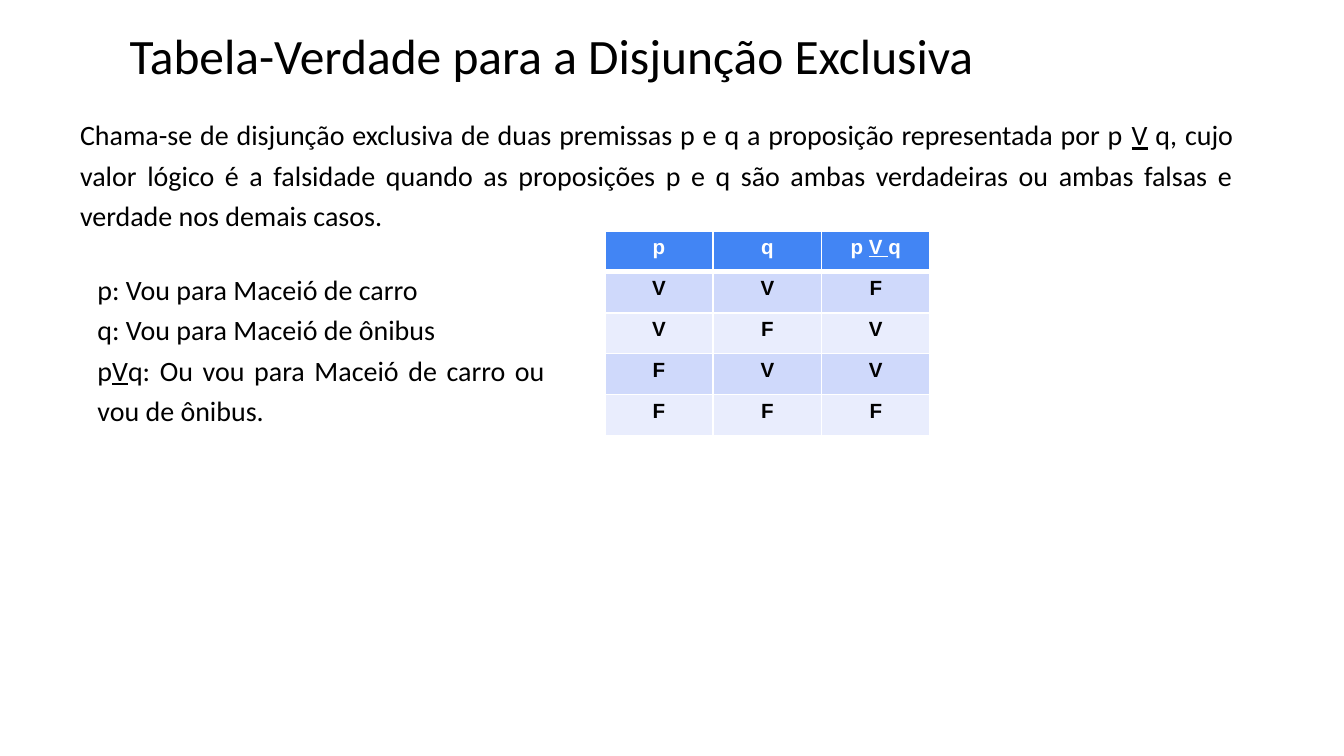
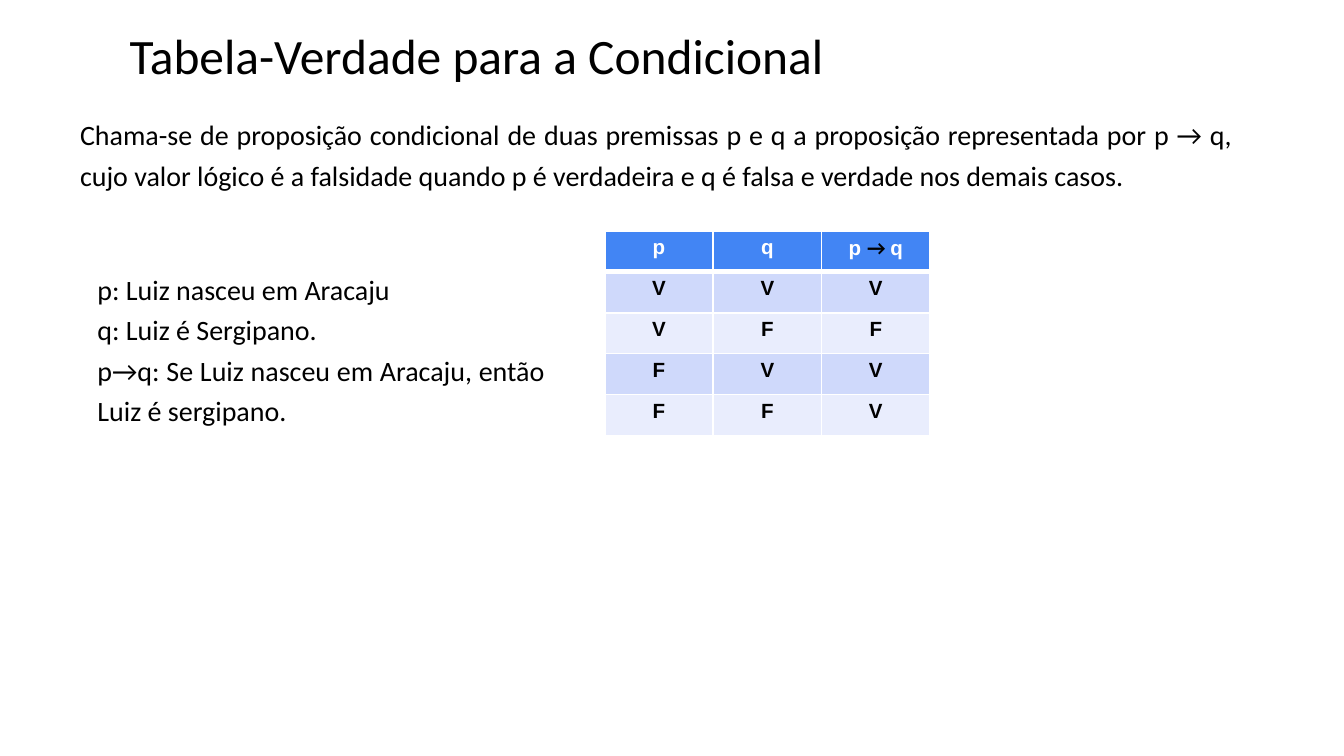
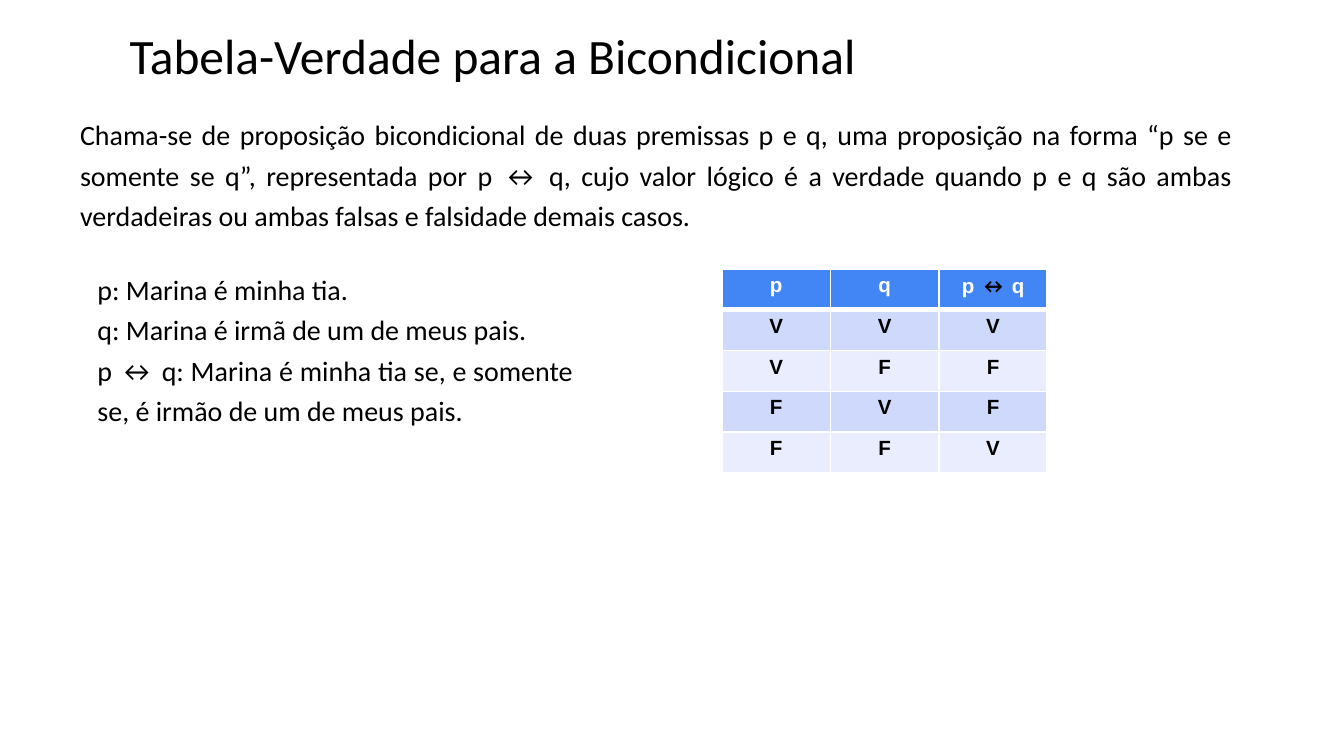
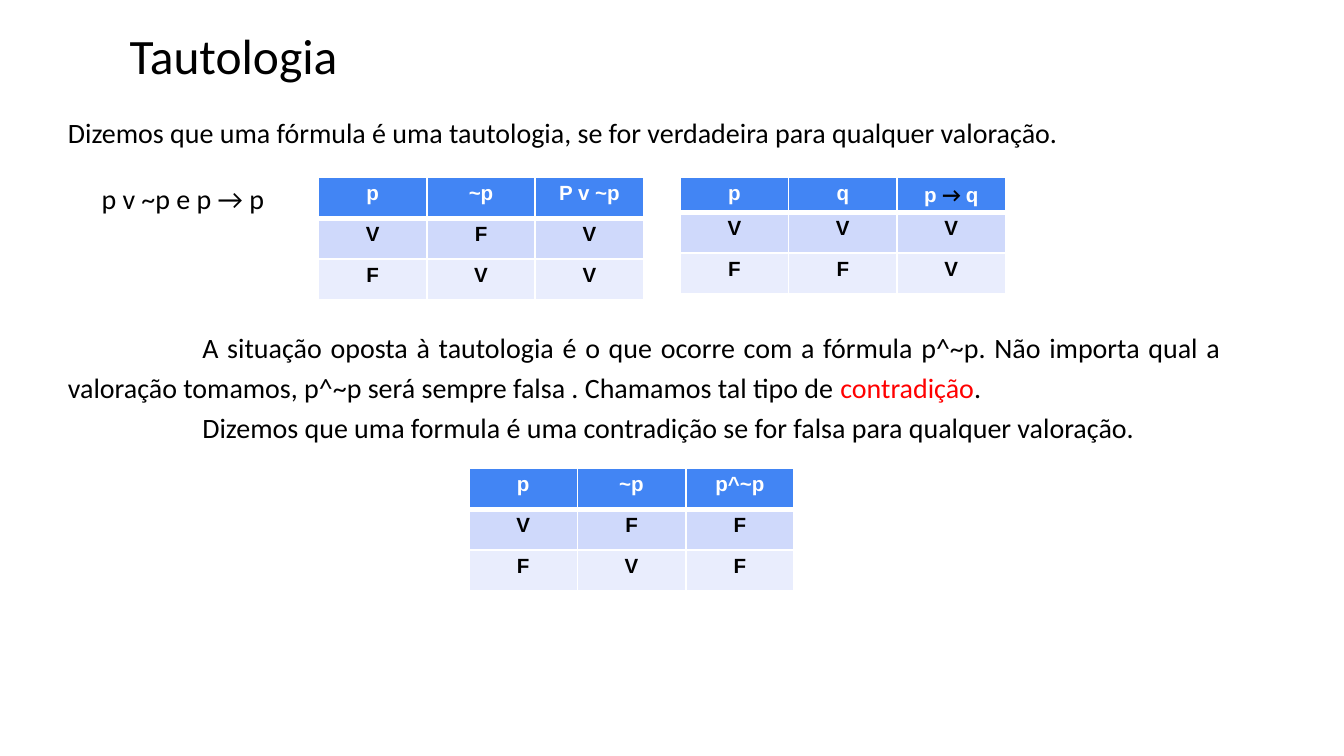
from dataclasses import dataclass

from lxml.etree import SubElement
from pptx import Presentation
from pptx.dml.color import RGBColor as Rgb
from pptx.enum.text import PP_ALIGN as Align
from pptx.oxml.ns import qn
from pptx.util import Pt


@dataclass(frozen=True)
class Theme:
    head: str = "Calibri"
    cell: str = "Arial"
    big: float = 26.5
    body: float = 15
    small: float = 11
    ink: Rgb = Rgb(0, 0, 0)
    white: Rgb = Rgb(255, 255, 255)
    red: Rgb = Rgb(255, 0, 0)
    blue: Rgb = Rgb.from_string("4285F4")
    bands: tuple = (Rgb.from_string("CFD9FB"), Rgb.from_string("E9EDFD"))
    pad: tuple = (5.4, 2.7)
    lead: float = 1.2
    thin: float = 1
    thick: float = 3


T = Theme()
WIDE = 628.5
COL, ROW = 58.1, 21.9
TITLE = (64, 10.8, 507.6, 38.2)
INTRO = (37.5, 56.9, WIDE, 196.6)


def inset(part):
    part.margin_left = part.margin_right = Pt(T.pad[0])
    part.margin_top = part.margin_bottom = Pt(T.pad[1])


def style(font, name, size, color):
    font.name, font.size = name, Pt(size)
    font.color.rgb = color


def fill(para, parts):
    """Add runs; a part is plain text or a (text, mark) pair."""
    for part in [parts] if isinstance(parts, str) else parts:
        text, mark = (part, "") if isinstance(part, str) else part
        run = para.add_run()
        run.text = text
        if mark == "under":
            run.font.underline = True
        elif mark == "red":
            run.font.color.rgb = T.red
        elif mark == "sign":
            run.font.name = T.head
            run.font.color.rgb = T.ink


def write(slide, box, lines, size=T.body, align=Align.JUSTIFY, lead=T.lead, indent=0):
    frame = slide.shapes.add_textbox(*map(Pt, box)).text_frame
    frame.word_wrap = True
    inset(frame)
    for num, line in enumerate(lines):
        para = frame.add_paragraph() if num else frame.paragraphs[0]
        para.alignment, para.line_spacing = align, lead
        if indent:
            props = para._p.get_or_add_pPr()
            props.set("marL", "0")
            props.set("indent", str(Pt(indent)))
        style(para.font, T.head, size, T.ink)
        fill(para, line)


def edge(cell, row):
    """Draw white cell borders, thick between header and body."""
    props = cell._tc.get_or_add_tcPr()
    heavy = {0: "lnB", 1: "lnT"}.get(row)
    for num, side in enumerate(("lnL", "lnR", "lnT", "lnB")):
        width = T.thick if side == heavy else T.thin
        line = SubElement(props, qn("a:" + side), w=str(Pt(width)))
        paint = SubElement(line, qn("a:solidFill"))
        SubElement(paint, qn("a:srgbClr"), val=str(T.white))
        props.remove(line)
        props.insert(num, line)


def truth(slide, left, top, heads, rows, first=ROW):
    """Place a truth table; each row is a string of V and F."""
    grid = [heads, *rows]
    high = first + ROW * len(rows)
    table = slide.shapes.add_table(
        len(grid), len(heads), Pt(left), Pt(top), Pt(COL * len(heads)), Pt(high)
    ).table
    table.horz_banding = False
    for col in table.columns:
        col.width = Pt(COL)
    for r, items in enumerate(grid):
        table.rows[r].height = Pt(ROW if r else first)
        for c, item in enumerate(items):
            cell = table.cell(r, c)
            inset(cell)
            cell.fill.solid()
            cell.fill.fore_color.rgb = T.bands[(r - 1) % 2] if r else T.blue
            edge(cell, r)
            para = cell.text_frame.paragraphs[0]
            para.alignment = Align.CENTER
            style(para.font, T.cell, T.small, T.ink if r else T.white)
            para.font.bold = True
            fill(para, item)


def start(deck, title):
    slide = deck.slides.add_slide(deck.slide_layouts[6])
    write(slide, TITLE, [title], T.big, Align.LEFT, 1)
    return slide


def rule(deck, title, intro, cases, last, rows, spot=(324, 123.8), width=250.5):
    """Build a slide that defines one connective, with cases and table."""
    slide = start(deck, title)
    write(slide, INTRO, [intro])
    truth(slide, *spot, ["p", "q", last], rows)
    write(slide, (46.8, 139.7, width, 56.2), cases)


def closing(deck):
    slide = start(deck, "Tautologia")
    left = 31
    write(slide, (left, 55.4, WIDE, 28.8), [
        "Dizemos que uma fórmula é uma tautologia, se for verdadeira para qualquer valoração.",
    ])
    write(slide, (49, 90.7, 108, 28.8), ["p v ~p e p → p"])
    write(slide, (left, 170.6, WIDE, 28.8), [
        ["A situação oposta à tautologia é o que ocorre com a fórmula p^~p. "
         "Não importa qual a valoração tomamos, p^~p será sempre falsa . "
         "Chamamos tal tipo de ", ("contradição", "red"), "."],
        "Dizemos que uma formula é uma contradição se for falsa para qualquer valoração.",
    ], indent=72)
    truth(slide, 251.2, 250.9, ["p", "~p", "p^~p"], ["VFF", "FVF"])
    truth(slide, 170.6, 95, ["p", "~p", "P v ~p"], ["VFV", "FVV"])
    truth(slide, 364.4, 95, ["p", "q", ["p ", ("→ ", "sign"), "q"]],
          ["VVV", "FFV"], first=18.7)


def main():
    deck = Presentation()
    deck.slide_width, deck.slide_height = Pt(720), Pt(405)
    rule(
        deck,
        "Tabela-Verdade para a Disjunção Exclusiva",
        ["Chama-se de disjunção exclusiva de duas premissas p e q a proposição "
         "representada por p ", ("V", "under"),
         " q, cujo valor lógico é a falsidade quando as proposições p e q são "
         "ambas verdadeiras ou ambas falsas e verdade nos demais casos."],
        ["p: Vou para Maceió de carro",
         "q: Vou para Maceió de ônibus",
         ["p", ("V", "under"), "q: Ou vou para Maceió de carro ou vou de ônibus."]],
        ["p ", ("V ", "under"), "q"],
        ["VVF", "VFV", "FVV", "FFF"],
    )
    rule(
        deck,
        "Tabela-Verdade para a Condicional",
        "Chama-se de proposição condicional de duas premissas p e q a proposição "
        "representada por p → q, cujo valor lógico é a falsidade quando p é "
        "verdadeira e q é falsa e verdade nos demais casos.",
        ["p: Luiz nasceu em Aracaju",
         "q: Luiz é Sergipano.",
         "p→q: Se Luiz nasceu em Aracaju, então Luiz é sergipano."],
        ["p ", ("→ ", "sign"), "q"],
        ["VVV", "VFF", "FVV", "FFV"],
    )
    rule(
        deck,
        "Tabela-Verdade para a Bicondicional",
        "Chama-se de proposição bicondicional de duas premissas p e q, uma "
        "proposição na forma “p se e somente se q”, representada por p ↔ q, cujo "
        "valor lógico é a verdade quando p e q são ambas verdadeiras ou ambas "
        "falsas e falsidade demais casos.",
        ["p: Marina é minha tia.",
         "q: Marina é irmã de um de meus pais.",
         "p ↔ q: Marina é minha tia se, e somente se, é irmão de um de meus pais."],
        ["p ", ("↔ ", "sign"), "q"],
        ["VVV", "VFF", "FVF", "FFV"],
        spot=(386.8, 144),
        width=265.7,
    )
    closing(deck)
    deck.save("out.pptx")


if __name__ == "__main__":
    main()
